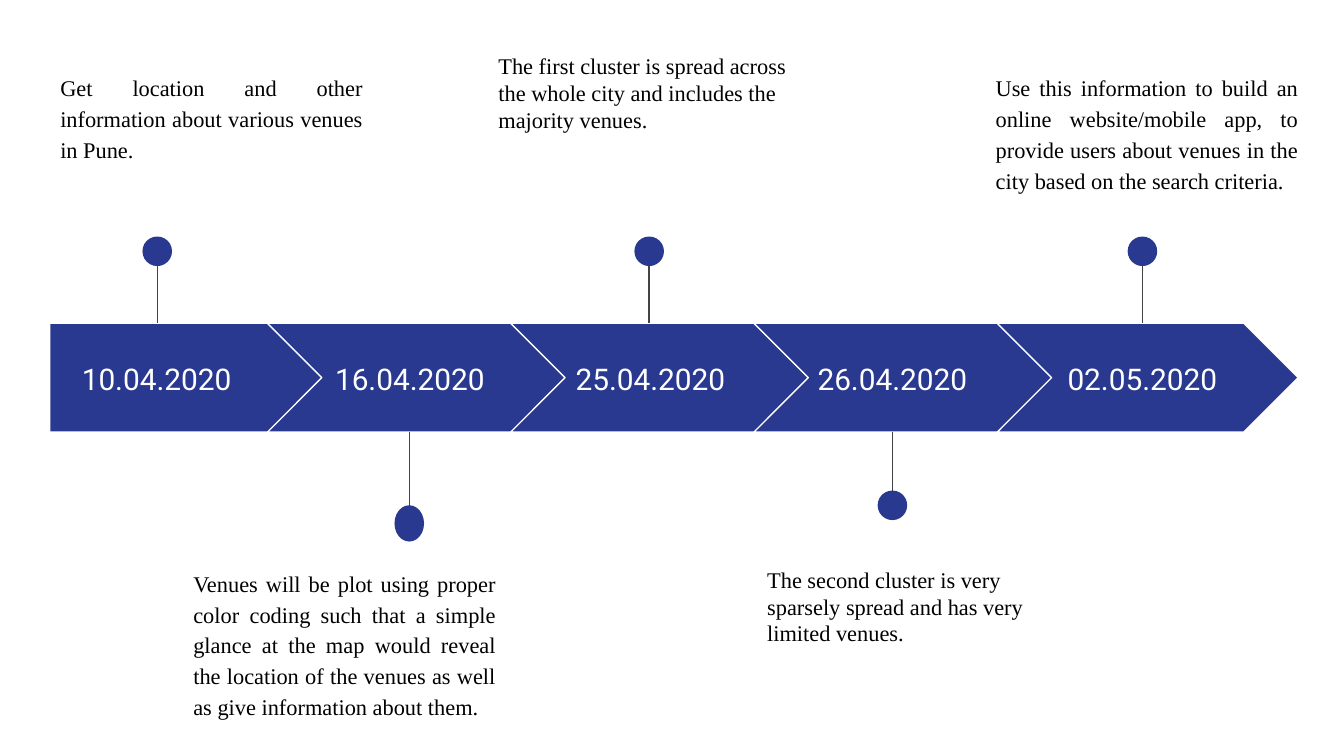
from pptx import Presentation
from pptx import util as u
from pptx.dml.color import RGBColor
from pptx.enum import shapes, text
from pptx.oxml.ns import qn
from lxml import etree

UNIT = 0.1  # inches per grid column and row: 100 columns, 56.25 rows
BLUE, WHITE, GREY, BLACK = "2A3990", "FFFFFF", "434343", "000000"
SHAPE = shapes.MSO_SHAPE
ALIGN = text.PP_ALIGN
DATE = dict(font=dict(name="Roboto", size=u.Pt(16)), color=WHITE,
            para=dict(alignment=ALIGN.CENTER), anchor=text.MSO_ANCHOR.MIDDLE)
NOTE = dict(font=dict(name="Times New Roman", size=u.Pt(12)), color=BLACK,
            anchor=text.MSO_ANCHOR.TOP)
WIDE = dict(alignment=ALIGN.JUSTIFY, line_spacing=1.15)
PLAIN = dict(alignment=ALIGN.LEFT)


def rgb(code):
    return RGBColor.from_string(code)


def grid(*vals):
    return [u.Inches(v * UNIT) for v in vals]


def apply(obj, vals):
    for key, val in vals.items():
        setattr(obj, key, val)


class Board:
    def __init__(self, slide):
        self.slide = slide

    def shape(self, kind, box, line=None):
        part = self.slide.shapes.add_shape(kind, *grid(*box))
        part.shadow.inherit = False
        part.fill.solid()
        part.fill.fore_color.rgb = rgb(BLUE)
        if line:
            part.line.color.rgb = rgb(line)
            part.line.width = u.Pt(0.75)
        else:
            part.line.fill.background()
        return part

    def stem(self, x, top, end):
        line = self.slide.shapes.add_connector(
            shapes.MSO_CONNECTOR.STRAIGHT, *grid(x, top, x, end))
        line.line.color.rgb = rgb(GREY)
        line.line.width = u.Pt(0.75)
        etree.SubElement(line._element.spPr, qn("a:effectLst"))

    def words(self, copy, box, style, para):
        frame = self.slide.shapes.add_textbox(*grid(*box)).text_frame
        apply(frame, dict(word_wrap=True, vertical_anchor=style["anchor"]))
        apply(frame, {f"margin_{side}": u.Inches(0.1)
                      for side in ("left", "top", "right", "bottom")})
        line = frame.paragraphs[0]
        apply(line, para)
        run = line.add_run()
        run.text = copy
        apply(run.font, style["font"])
        run.font.color.rgb = rgb(style["color"])


# Per step: date, date box (left, width), stem x, dot (top, height),
# note box, note paragraph, note
STEPS = [
    ("10.04.2020", (3.7, 15.9), 11.7, (17.6, 2.2), (3.5, 4.2, 24.5, 9.9), WIDE,
     "Get location and other information about various venues in Pune."),
    ("16.04.2020", (23.3, 14.4), 30.45, (37.6, 2.7), (13.4, 41.1, 24.5, 9.9), WIDE,
     "Venues will be plot using proper color coding such that a simple glance "
     "at the map would reveal the location of the venues as well as give "
     "information about them."),
    ("25.04.2020", (41.2, 14.4), 48.3, (17.6, 2.2), (36.1, 2.9, 24.5, 11.3),
     dict(PLAIN, space_before=u.Pt(14)),
     "The first cluster is spread across the whole city and includes the "
     "majority venues."),
    ("26.04.2020", (59.2, 14.4), 66.4, (36.5, 2.2), (56.1, 41.1, 24.5, 9.9), PLAIN,
     "The second cluster is very sparsely spread and has very limited venues."),
    ("02.05.2020", (77.8, 14.4), 85, (17.6, 2.2), (73.1, 4.2, 24.5, 9.9), WIDE,
     "Use this information to build an online website/mobile app, to provide "
     "users about venues in the city based on the search criteria."),
]
TOP, HIGH, PITCH, DOT = 24.05, 8.1, 18.1, 2.2


def main():
    deck = Presentation()
    deck.slide_width, deck.slide_height = grid(100, 56.25)
    board = Board(deck.slides.add_slide(deck.slide_layouts[6]))

    for i, (date, (left, wide), x, (top, tall), box, para, note) in enumerate(STEPS):
        # Arrow band
        if i:
            board.shape(SHAPE.CHEVRON, (19.9 + PITCH * (i - 1), TOP, 22.4, HIGH), WHITE)
        else:
            board.shape(SHAPE.PENTAGON, (3.7, TOP, 20.5, HIGH), WHITE)
        board.words(date, (left, 25.6, wide, 5.1), DATE, DATE["para"])
        # Pin, above or below the band
        edge = TOP if top < TOP else TOP + HIGH
        board.stem(x, top + tall / 2, edge)
        board.shape(SHAPE.OVAL, (x - DOT / 2, top, DOT, tall))
        # Note
        board.words(note, box, NOTE, para)

    deck.save("out.pptx")


if __name__ == "__main__":
    main()
